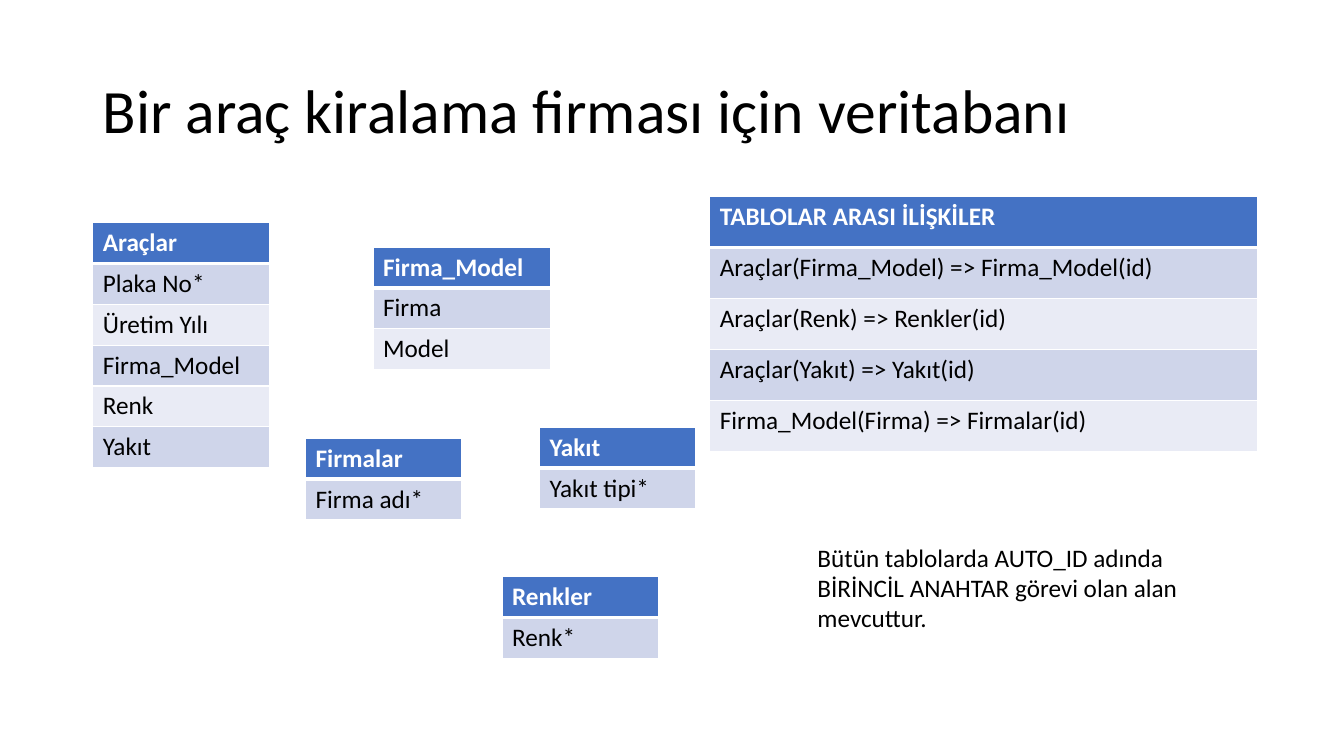
from dataclasses import dataclass

from lxml.etree import SubElement
from pptx import Presentation
from pptx.dml.color import RGBColor as Rgb
from pptx.enum.text import MSO_ANCHOR as Anchor
from pptx.oxml.ns import qn
from pptx.util import Inches, Pt

WIDE, HIGH = 13.33, 7.5

TITLE = "Bir araç kiralama firması için veritabanı"
NOTE = ("Bütün tablolarda AUTO_ID adında BİRİNCİL ANAHTAR görevi olan alan "
        "mevcuttur.")

# left, top, width, row height, then header and fields
TABLES = [
    (0.92, 2.21, 1.75, 0.405,
     ["Araçlar", "Plaka No*", "Üretim Yılı", "Firma_Model", "Renk", "Yakıt"]),
    (3.7, 2.45, 1.76, 0.405, ["Firma_Model", "Firma", "Model"]),
    (5.35, 4.24, 1.55, 0.405, ["Yakıt", "Yakıt tipi*"]),
    (4.98, 5.72, 1.55, 0.405, ["Renkler", "Renk*"]),
    (7.04, 1.95, 5.43, 0.506,
     ["TABLOLAR ARASI İLİŞKİLER",
      "Araçlar(Firma_Model) => Firma_Model(id)",
      "Araçlar(Renk) => Renkler(id)",
      "Araçlar(Yakıt) => Yakıt(id)",
      "Firma_Model(Firma) => Firmalar(id)"]),
    (3.03, 4.35, 1.55, 0.405, ["Firmalar", "Firma adı*"]),
]


@dataclass(frozen=True)
class Theme:
    font: str = "Calibri"
    title: int = 44
    body: int = 18
    ink: str = "000000"
    paper: str = "FFFFFF"
    head: str = "4472C4"
    bands: tuple = ("CFD5EA", "E9EBF5")
    thin: int = 1
    thick: int = 3


THEME = Theme()


def style(frame, size, color, bold=False):
    for para in frame.paragraphs:
        for run in para.runs:
            font = run.font
            font.name, font.size, font.bold = THEME.font, Pt(size), bold
            font.color.rgb = Rgb.from_string(color)


def add_text(slide, box, text, size, anchor):
    frame = slide.shapes.add_textbox(*map(Inches, box)).text_frame
    frame.word_wrap = True
    frame.vertical_anchor = anchor
    frame.text = text
    style(frame, size, THEME.ink)
    return frame


def edge(cell, side, width):
    """Draw one border of a cell; side is L, R, T or B."""
    props = cell._tc.get_or_add_tcPr()
    line = SubElement(props, qn(f"a:ln{side}"), w=str(Pt(width)))
    fill = SubElement(line, qn("a:solidFill"))
    SubElement(fill, qn("a:srgbClr"), val=THEME.paper)


def add_table(slide, left, top, width, step, rows):
    box = map(Inches, (left, top, width, step * len(rows)))
    table = slide.shapes.add_table(len(rows), 1, *box).table
    for n, text in enumerate(rows):
        table.rows[n].height = Inches(step)
        cell = table.cell(n, 0)
        cell.text = text
        head = n == 0
        style(cell.text_frame, THEME.body,
              THEME.paper if head else THEME.ink, head)
        for side in "LRTB":
            thick = (side == "B" and head) or (side == "T" and n == 1)
            edge(cell, side, THEME.thick if thick else THEME.thin)
        cell.fill.solid()
        color = THEME.head if head else THEME.bands[(n - 1) % 2]
        cell.fill.fore_color.rgb = Rgb.from_string(color)


def main():
    deck = Presentation()
    deck.slide_width, deck.slide_height = Inches(WIDE), Inches(HIGH)
    slide = deck.slides.add_slide(deck.slide_layouts[6])
    title = add_text(slide, (0.92, 0.4, 11.5, 1.45), TITLE, THEME.title,
                     Anchor.MIDDLE)
    title.paragraphs[0].line_spacing = 0.9
    for table in TABLES:
        add_table(slide, *table)
    add_text(slide, (8.01, 5.33, 4.13, 1.01), NOTE, THEME.body, Anchor.TOP)
    deck.save("out.pptx")


if __name__ == "__main__":
    main()
